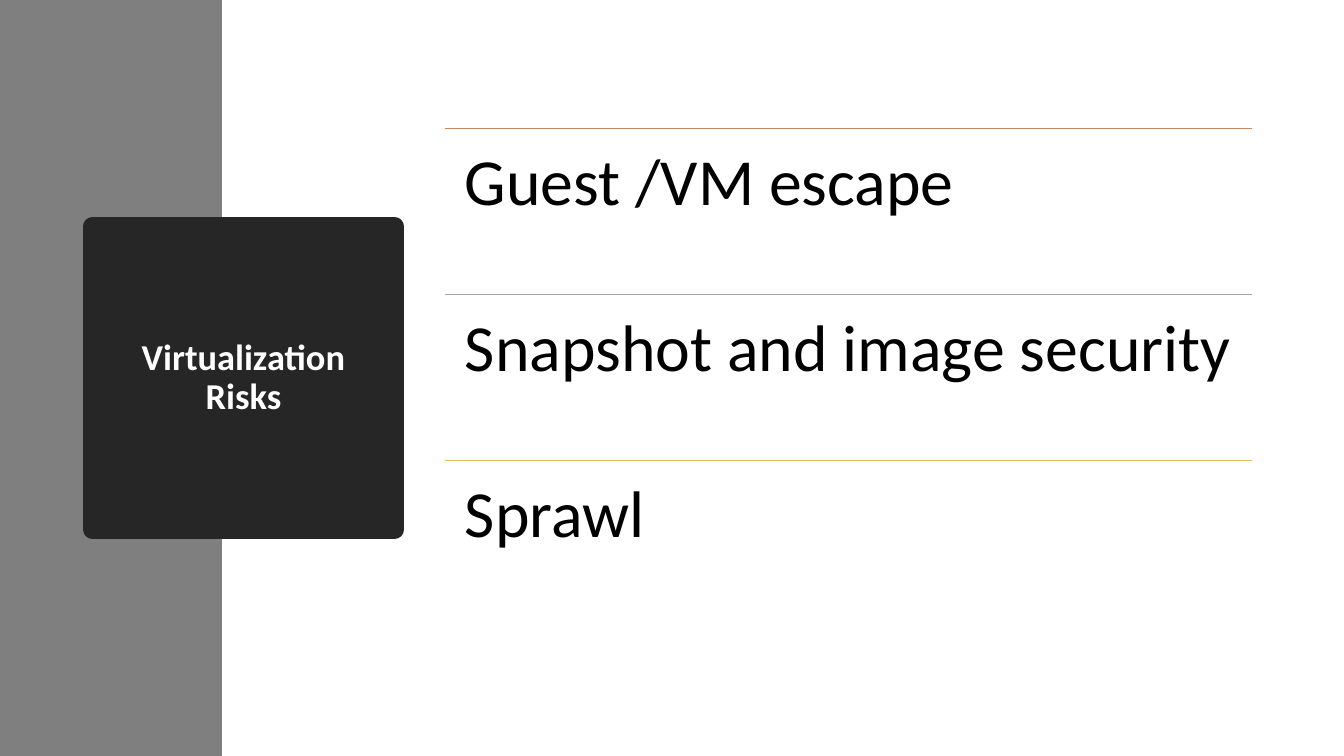
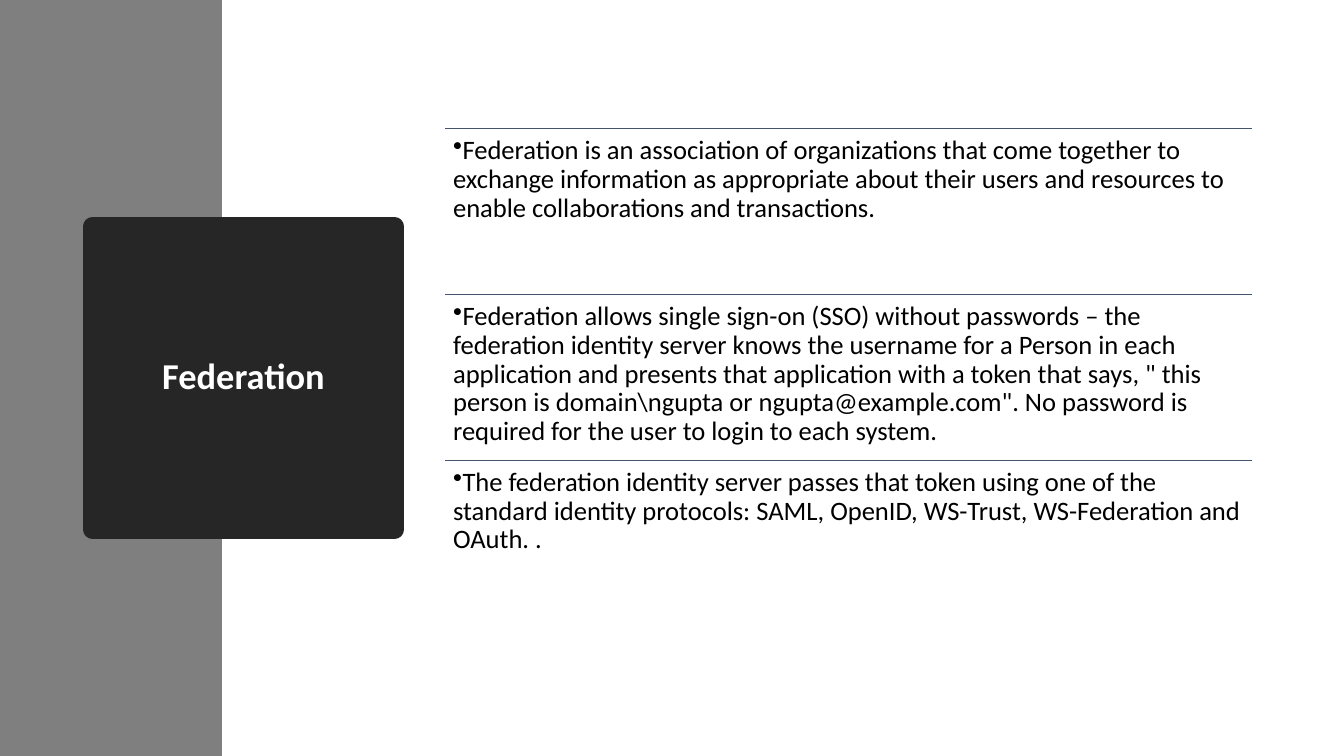
"""Build two slides, each with a dark title block beside three ruled rows."""
import pptx
import pptx.dml.color
import pptx.enum.shapes
import pptx.enum.text
import pptx.oxml
import pptx.util
from dataclasses import dataclass
from lxml import etree

Pt = pptx.util.Pt
RGB = pptx.dml.color.RGBColor.from_string
Text = pptx.enum.text
Kind = pptx.enum.shapes


@dataclass(frozen=True)
class Theme:
    font: str = "Calibri"
    band: str = "7F7F7F"
    block: str = "262626"
    light: str = "FFFFFF"
    ink: str = "000000"
    slate: str = "44546A"
    orange: str = "ED7D31"
    grey: str = "A5A5A5"
    gold: str = "FFC000"
    title: int = 26
    large: int = 47
    small: int = 19


theme = Theme()


def write(frame, text, size, color, bold=False):
    para = frame.paragraphs[0]
    para.line_spacing = 0.9
    run = para.add_run()
    run.text = text
    run.font.name = theme.font
    run.font.size = Pt(size)
    run.font.bold = bold
    run.font.color.rgb = RGB(color)
    return para


def inset(frame, gap):
    frame.margin_left = frame.margin_right = Pt(gap)
    frame.margin_top = frame.margin_bottom = Pt(gap)


pages = [
    ("Virtualization Risks", theme.large, False, [
        (theme.orange, "Guest /VM escape"),
        (theme.grey, "Snapshot and image security"),
        (theme.gold, "Sprawl"),
    ]),
    ("Federation", theme.small, True, [
        (theme.slate, "Federation is an association of organizations that come "
         "together to exchange information as appropriate about their users "
         "and resources to enable collaborations and transactions."),
        (theme.slate, "Federation allows single sign-on (SSO) without passwords "
         "– the federation identity server knows the username for a Person in "
         "each application and presents that application with a token that "
         "says, \" this person is domain\\ngupta or ngupta@example.com\". No "
         "password is required for the user to login to each system."),
        (theme.slate, "The federation identity server passes that token using "
         "one of the standard identity protocols: SAML, OpenID, WS-Trust, "
         "WS-Federation and OAuth. ."),
    ]),
]

left, top, width, pitch = 318, 92, 576, 118.5
deck = pptx.Presentation()
deck.slide_width, deck.slide_height = Pt(960), Pt(540)
layout = deck.slide_layouts.get_by_name("Title Only")

for name, size, dots, rows in pages:
    slide = deck.slides.add_slide(layout)
    shapes = slide.shapes
    title = shapes.title

    band = shapes.add_shape(Kind.MSO_SHAPE.RECTANGLE, 0, 0, Pt(158.5), Pt(540))
    band.shadow.inherit = False
    band.fill.solid()
    band.fill.fore_color.rgb = RGB(theme.band)
    band.line.fill.background()
    title.element.addprevious(band.element)

    title.left, title.top = Pt(66), Pt(162)
    title.width = title.height = Pt(216)
    title.fill.solid()
    title.fill.fore_color.rgb = RGB(theme.block)
    title.line.color.rgb = RGB(theme.block)
    title.line.width = Pt(13.75)
    frame = title.text_frame
    frame.auto_size = Text.MSO_AUTO_SIZE.NONE
    frame.word_wrap = True
    frame.vertical_anchor = Text.MSO_ANCHOR.MIDDLE
    inset(frame, 14)
    para = write(frame, name, theme.title, theme.light, True)
    para.alignment = Text.PP_ALIGN.CENTER

    for step, (color, text) in enumerate(rows):
        y = top + step * pitch
        rule = shapes.add_connector(Kind.MSO_CONNECTOR.STRAIGHT,
                                    Pt(left), Pt(y), Pt(left + width), Pt(y))
        rule.line.color.rgb = RGB(color)
        rule.line.width = Pt(1)
        props = rule.element.spPr
        etree.SubElement(props, pptx.oxml.ns.qn("a:effectLst"))

        box = shapes.add_textbox(Pt(left), Pt(y), Pt(width), Pt(pitch))
        frame = box.text_frame
        frame.word_wrap = True
        inset(frame, 0.3 * size)
        para = write(frame, text, size, theme.ink)
        if dots:
            props = para._p.get_or_add_pPr()
            props.set("marL", "0")
            props.set("indent", "0")
            mark = etree.SubElement(props, pptx.oxml.ns.qn("a:buChar"))
            mark.set("char", "•")

deck.save("out.pptx")
